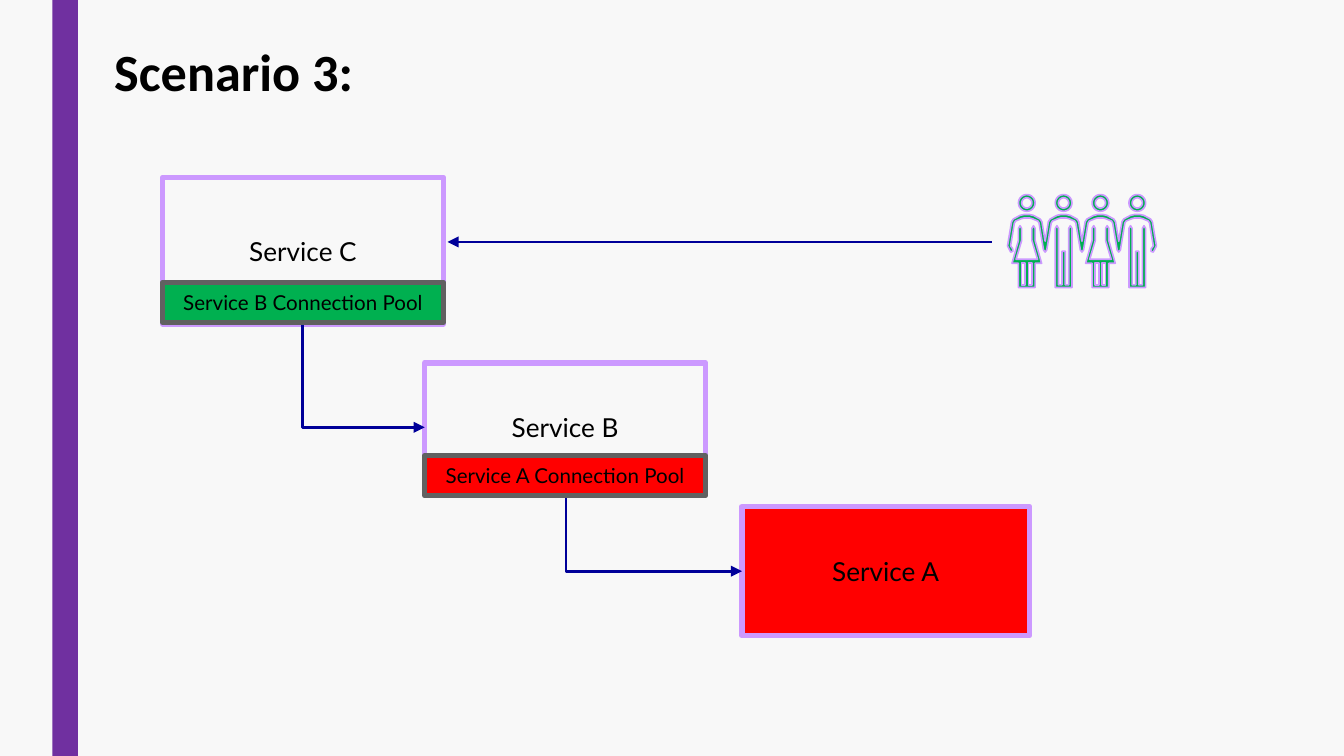
from math import cos, pi, sin

from lxml import etree
from pptx import Presentation
from pptx.dml.color import RGBColor
from pptx.enum.shapes import MSO_CONNECTOR, MSO_SHAPE
from pptx.enum.text import MSO_ANCHOR, MSO_AUTO_SIZE, PP_ALIGN
from pptx.oxml.ns import qn
from pptx.util import Inches, Pt

RECTANGLE = MSO_SHAPE.RECTANGLE
STRAIGHT, ELBOW = MSO_CONNECTOR.STRAIGHT, MSO_CONNECTOR.ELBOW
MIDDLE, FIT = MSO_ANCHOR.MIDDLE, MSO_AUTO_SIZE.SHAPE_TO_FIT_TEXT
LEFT, CENTER = PP_ALIGN.LEFT, PP_ALIGN.CENTER
TITLE_ONLY = 5

# Square grid: 100 columns across the slide, 56.25 rows down
WIDTH = Inches(10)
HEIGHT = WIDTH * 9 // 16
CELL = WIDTH / 100


def color(hex_string):
    return RGBColor.from_string(hex_string)


def grid(value):
    return round(value * CELL)


def reflected(points):
    return [(-x, y) for x, y in reversed(points)]


def mirrored(half):
    """Close the right half of an outline with its reflection."""
    return half + reflected(half)


def shifted(points, column):
    return [(column + x, y) for x, y in points]


def circle(radius, row, steps=32):
    angles = [2 * pi * step / steps for step in range(steps)]
    return [(radius * cos(a), row + radius * sin(a)) for a in angles]


class ScenarioSlide:
    BACKGROUND, PURPLE, LILAC = "F8F8F8", "7030A0", "CC99FF"
    GREEN, RED, GRAY = "00B050", "FF0000", "616161"
    NAVY, BLACK = "000099", "000000"
    TITLE_FONT, BODY_FONT = "Calibri", "Lato"

    def __init__(self, presentation):
        layout = presentation.slide_layouts[TITLE_ONLY]
        self.slide = presentation.slides.add_slide(layout)
        fill = self.slide.background.fill
        fill.solid()
        fill.fore_color.rgb = color(self.BACKGROUND)

    def paint(self, shape, fill=None, line=None, weight=0):
        shape.shadow.inherit = False
        if fill:
            shape.fill.solid()
            shape.fill.fore_color.rgb = color(fill)
        else:
            shape.fill.background()
        if line:
            shape.line.color.rgb = color(line)
            shape.line.width = Pt(weight)
        else:
            shape.line.fill.background()

    def add_text(self, shape, text, size, font, align, bold=False):
        frame = shape.text_frame
        frame.word_wrap = True
        frame.vertical_anchor = MIDDLE
        paragraph = frame.paragraphs[0]
        paragraph.alignment = align
        run = paragraph.add_run()
        run.text = text
        run.font.name, run.font.size, run.font.bold = font, Pt(size), bold
        run.font.color.rgb = color(self.BLACK)

    def title(self, text, *box):
        shape = self.slide.shapes.title
        shape.left, shape.top, shape.width, shape.height = map(grid, box)
        self.add_text(shape, text, 28, self.TITLE_FONT, LEFT, bold=True)
        shape.text_frame.auto_size = FIT

    def rectangle(self, *box, **style):
        shape = self.slide.shapes.add_shape(RECTANGLE, *map(grid, box))
        self.paint(shape, **style)
        return shape

    def service(self, text, *box, fill=None):
        shape = self.rectangle(*box, fill=fill, line=self.LILAC, weight=3)
        self.add_text(shape, text, 14, self.BODY_FONT, CENTER)

    def pool(self, text, *box, fill):
        shape = self.rectangle(*box, fill=fill, line=self.GRAY, weight=2.75)
        self.add_text(shape, text, 11, self.BODY_FONT, CENTER)

    def connector(self, kind, *ends):
        connector = self.slide.shapes.add_connector(kind, *map(grid, ends))
        connector.line.color.rgb = color(self.NAVY)
        connector.line.width = Pt(1.5)
        properties = connector._element.spPr
        outline = properties.find(qn("a:ln"))
        etree.SubElement(outline, qn("a:tailEnd"), type="triangle")
        etree.SubElement(properties, qn("a:effectLst"))
        return properties

    def arrow(self, x1, y1, x2, y2):
        self.connector(STRAIGHT, x1, y1, x2, y2)

    def down_then_right(self, x1, y1, x2, y2):
        """One-bend connector: the preset turned a quarter and flipped."""
        run, drop = x2 - x1, y2 - y1
        left = (x1 + x2 - drop) / 2
        top = (y1 + y2 - run) / 2
        properties = self.connector(ELBOW, left, top, left + drop, top + run)
        properties.find(qn("a:prstGeom")).set("prst", "bentConnector2")
        transform = properties.find(qn("a:xfrm"))
        transform.set("rot", str(270 * 60000))
        transform.set("flipH", "1")

    def outline(self, group, contours):
        contours = [[(grid(x), grid(y)) for x, y in c] for c in contours]
        builder = group.shapes.build_freeform(*contours[0][0])
        for index, contour in enumerate(contours):
            if index:
                builder.move_to(*contour[0])
            builder.add_line_segments(contour[1:], close=True)
        shape = builder.convert_to_shape()
        self.paint(shape, self.GREEN, self.LILAC, 0.89)

    def people(self, first, pitch, count):
        """Row of alternating women and men joined by one line of arms."""
        group = self.slide.shapes.add_group_shape()
        centers = [first + pitch * index for index in range(count)]
        head = [circle(0.62, 15.1), circle(0.38, 15.1)[::-1]]
        leg = [(0.12, 19.6), (0.38, 19.6), (0.38, 21.2), (0.12, 21.2)]
        dress = mirrored([
            (0.8, 19.3), (0.38, 17.9), (0.38, 17), (0.5, 16.8), (0.62, 17),
            (0.62, 17.9), (1.1, 19.6), (0.62, 19.6), (0.62, 21.4)])
        trousers = mirrored([
            (0.12, 18.7), (0.12, 21.2), (0.38, 21.2), (0.38, 17),
            (0.5, 16.8), (0.62, 17), (0.62, 21.4)])
        woman = [dress, leg, reflected(leg)]
        for index, center in enumerate(centers):
            body = [trousers] if index % 2 else woman
            for part in (body, head):
                self.outline(group, [shifted(c, center) for c in part])

        # Arms: outer edge left to right, then inner edge right to left
        outer = sorted(mirrored([(0.2, 15.96), (0.5, 16.03), (1, 16.3), (1.13, 16.5)]))
        inner = mirrored([(0.92, 16.6), (0.83, 16.45), (0.4, 16.27), (0.2, 16.22)])
        hand = [(1.43, 18.3), (1.2, 18.75), (1.03, 18.7), (1.05, 18.5), (1.2, 18.3)]
        middle = pitch / 2
        joint = shifted([(0.12, 18.6), (0, 18.75), (-0.12, 18.6)], -middle)
        arms = []
        for center in centers:
            arms += shifted(outer, center)
            if center != centers[-1]:
                arms.append((center + middle, 17.95))
        arms += shifted(hand, centers[-1])
        for center in reversed(centers):
            arms += shifted(inner, center)
            if center != centers[0]:
                arms += shifted(joint, center)
        arms += shifted(reflected(hand), centers[0])
        self.outline(group, [arms])


def main():
    presentation = Presentation()
    presentation.slide_width, presentation.slide_height = WIDTH, HEIGHT
    page = ScenarioSlide(presentation)

    # Side bar and title
    page.rectangle(3.9, 0, 1.9, 56.25, fill=page.PURPLE)
    page.title("Scenario 3:", 7.5, 2.4, 27.1, 5.7)

    # Services
    page.service("Service C", 12.1, 13.2, 20.9, 10.9)
    page.service("Service B", 31.6, 27, 20.9, 9.6)
    page.service("Service A", 55.2, 37.7, 21.4, 9.6, fill=page.RED)

    # Users and calls
    page.people(first=76.4, pitch=2.74, count=4)
    page.arrow(73.8, 18, 33.3, 18)
    page.down_then_right(22.5, 24, 31.6, 31.8)
    page.down_then_right(42.1, 36.6, 55.2, 42.5)

    # Connection pools
    page.pool("Service B Connection Pool", 12.1, 21, 20.9, 3, fill=page.GREEN)
    page.pool("Service A Connection Pool", 31.6, 33.9, 20.9, 3, fill=page.RED)

    presentation.save("out.pptx")


if __name__ == "__main__":
    main()
